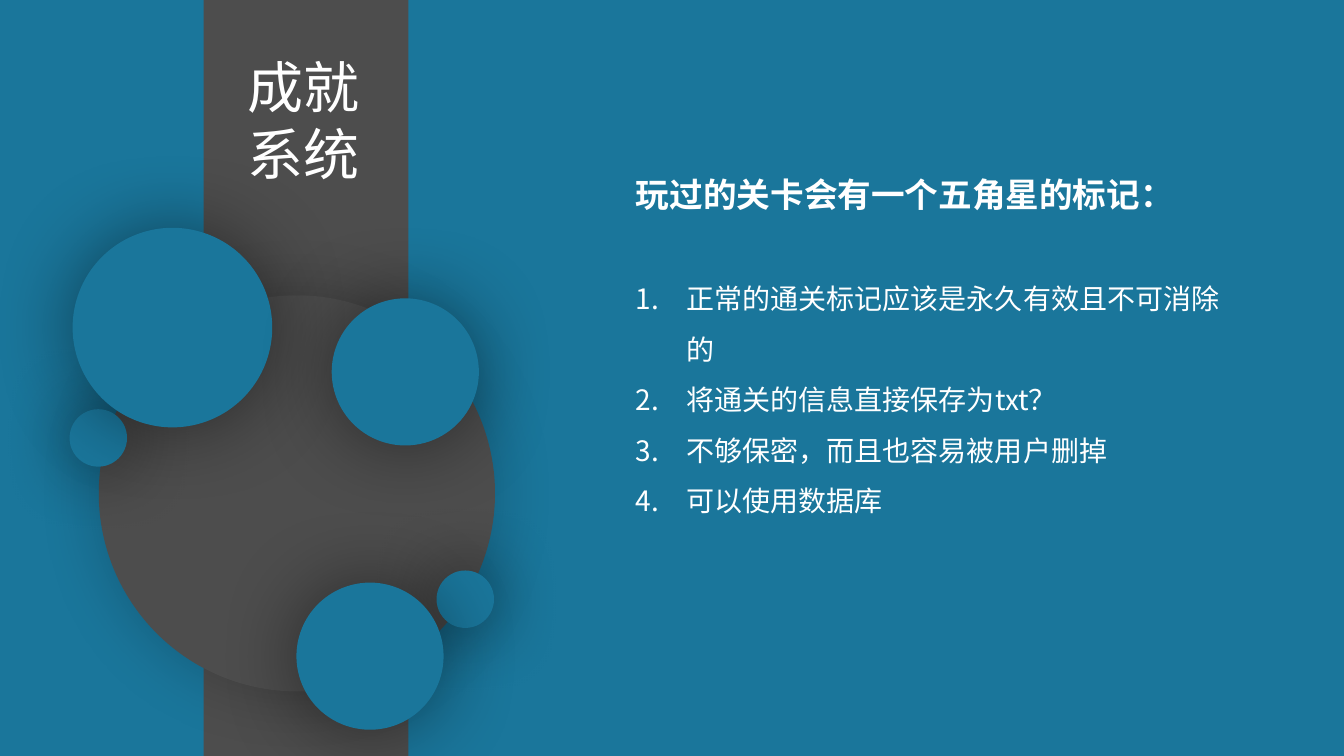
from lxml import etree
from pptx import Presentation, util as u
from pptx.dml.color import RGBColor
from pptx.enum import shapes, text
from pptx.oxml.ns import qn

BLUE = RGBColor(0x1A, 0x76, 0x9B)
GREY = RGBColor(0x4D, 0x4D, 0x4D)
WHITE = RGBColor(0xFF, 0xFF, 0xFF)
FONT = "Noto Sans CJK SC"
W, H = 13.33, 7.5

TITLE = "成就系统"
HEADING = "玩过的关卡会有一个五角星的标记："
ITEMS = [
    "正常的通关标记应该是永久有效且不可消除的",
    "将通关的信息直接保存为txt？",
    "不够保密，而且也容易被用户删掉",
    "可以使用数据库",
]
DISC, SMALL, LARGE = (21, 47), (63, 53), (46, 59)
CIRCLES = [
    (0.98, 2.93, 3.93, GREY, DISC),
    (0.69, 4.06, 0.57, BLUE, SMALL),
    (0.72, 2.26, 1.98, BLUE, LARGE),
    (3.29, 2.96, 1.46, BLUE, LARGE),
    (4.33, 5.66, 0.57, BLUE, SMALL),
    (2.94, 5.78, 1.46, BLUE, LARGE),
]


def add_shape(s, kind, box, color):
    sp = s.shapes.add_shape(kind, *map(u.Inches, box))
    sp.shadow.inherit = False
    sp.fill.solid()
    sp.fill.fore_color.rgb = color
    sp.line.fill.background()
    return sp


def add_glow_shadow(sp, opacity, blur):
    effects = sp._element.spPr.find(qn("a:effectLst"))
    shadow = etree.SubElement(effects, qn("a:outerShdw"), blurRad=str(u.Pt(blur)),
                              dist="0", dir="0", algn="ctr", rotWithShape="0")
    color = etree.SubElement(shadow, qn("a:srgbClr"), val="000000")
    etree.SubElement(color, qn("a:alpha"), val=str(opacity * 1000))


def add_text_frame(s, box):
    tf = s.shapes.add_textbox(*map(u.Inches, box)).text_frame
    tf.word_wrap = True
    tf.auto_size = text.MSO_AUTO_SIZE.SHAPE_TO_FIT_TEXT
    return tf


def write(p, words, size, bold=False):
    r = p.add_run()
    r.text = words
    style = {"name": FONT, "size": u.Pt(size), "bold": bold}
    for key, value in style.items():
        setattr(r.font, key, value)
    r.font.color.rgb = WHITE
    etree.SubElement(r._r.get_or_add_rPr(), qn("a:ea"), typeface=FONT)


def number(p, indent):
    pPr = p._p.get_or_add_pPr()
    pPr.set("marL", str(u.Inches(indent)))
    pPr.set("indent", str(-u.Inches(indent)))
    etree.SubElement(pPr, qn("a:buFont"), typeface="+mj-lt")
    etree.SubElement(pPr, qn("a:buAutoNum"), type="arabicPeriod")


def emblem(s, x, y, w, h):
    add_shape(s, shapes.MSO_SHAPE.RECTANGLE, (x, y, w, h), GREY)
    for left, top, size, color, shadow in CIRCLES:
        sp = add_shape(s, shapes.MSO_SHAPE.OVAL, (left, top, size, size), color)
        add_glow_shadow(sp, *shadow)
    tf = add_text_frame(s, (x + 0.34, y + 0.47, 1.43, 1.45))
    write(tf.paragraphs[0], TITLE, 40)


def notes_on_system(s, x, y, w, h):
    tf = add_text_frame(s, (x, y, w, h))
    p = tf.paragraphs[0]
    p.line_spacing = 1.5
    write(p, HEADING, 24, True)
    for i, item in enumerate(ITEMS):
        p = tf.add_paragraph()
        p.line_spacing = 1.5
        p.space_before = u.Pt(0 if i else 36)
        number(p, 0.5)
        write(p, item, 20)


def main():
    prs = Presentation()
    prs.slide_width, prs.slide_height = u.Inches(W), u.Inches(H)
    s = prs.slides.add_slide(prs.slide_layouts[6])
    s.background.fill.solid()
    s.background.fill.fore_color.rgb = BLUE
    emblem(s, 2.02, 0, 2.03, H)
    notes_on_system(s, 6.21, 1.48, 6.07, 4.75)
    prs.save("out.pptx")


if __name__ == "__main__":
    main()
